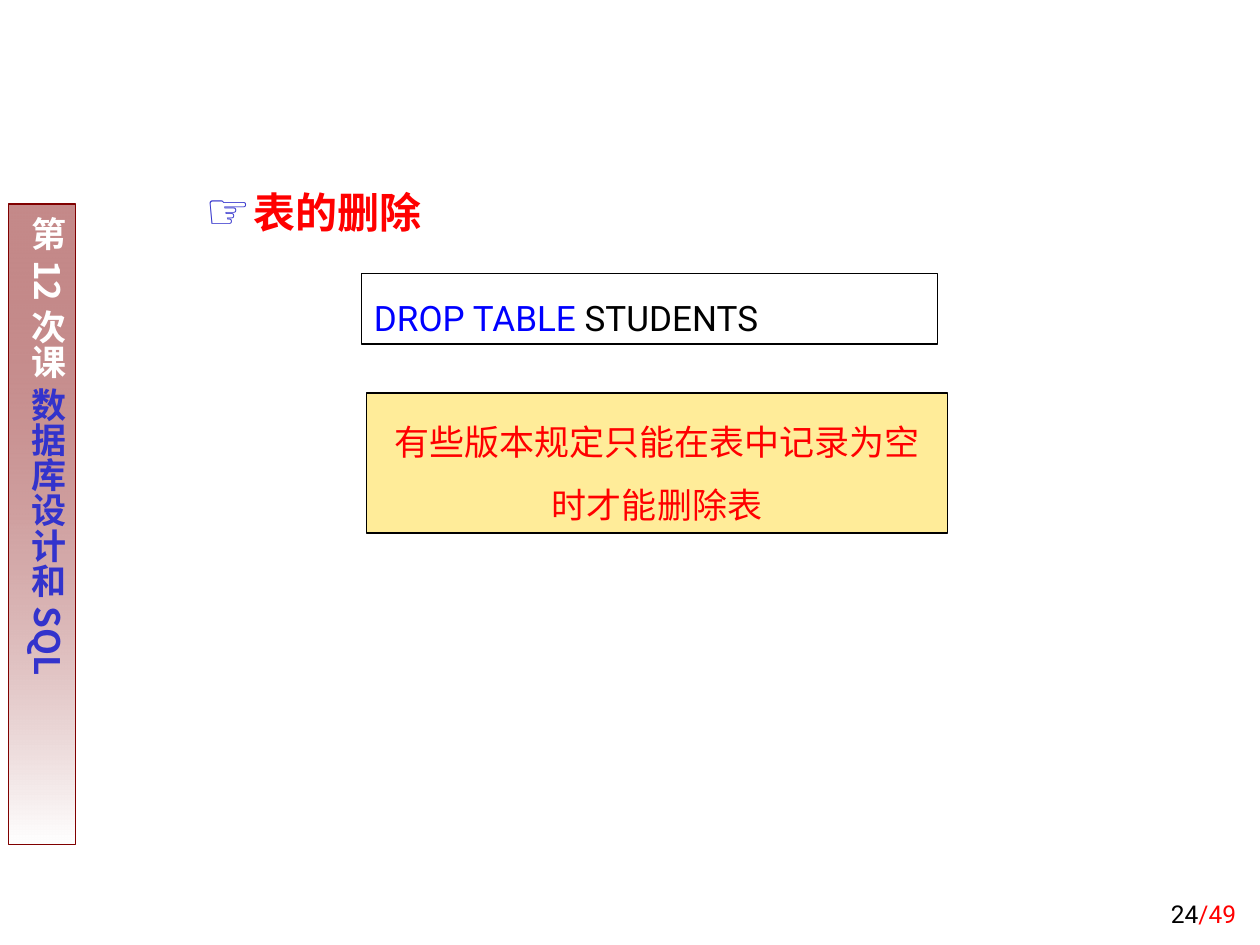
from dataclasses import dataclass

from lxml.etree import SubElement
from pptx import Presentation
from pptx.dml.color import RGBColor
from pptx.enum.shapes import MSO_SHAPE
from pptx.enum.text import MSO_ANCHOR, MSO_AUTO_SIZE, PP_ALIGN
from pptx.oxml.ns import qn
from pptx.util import Inches, Pt


@dataclass(frozen=True)
class Theme:
    latin: str = "Roboto"
    cjk: str = "Noto Sans CJK SC"
    black: str = "000000"
    white: str = "FFFFFF"
    red: str = "FF0000"
    keyword: str = "0000FF"
    accent: str = "3333CC"
    maroon: str = "800000"
    note: str = "FFEC99"
    heading: int = 24
    body: int = 20
    footer: int = 14
    line: float = 0.75


T = Theme()

SIDEBAR = {"at": (0.07, 1.62, 0.53, 5.08),
           "runs": [("第12次课 ", T.white), ("数据库设计和SQL", T.accent)]}
PAGE = {"at": (7.83, 6.92, 2.08, 0.5),
        "runs": [("24", T.black), ("/49", T.red)]}
HEADING = {"at": (1.53, 1.23, 7.93, 0.79), "runs": [("表的删除", T.red)]}
BOXES = [
    {"at": (2.87, 2.17, 4.57, 0.56), "fill": None,
     "align": PP_ALIGN.LEFT, "spacing": 1.4,
     "runs": [("DROP TABLE ", T.keyword), ("STUDENTS", T.black)]},
    {"at": (2.91, 3.12, 4.61, 1.11), "fill": T.note,
     "align": PP_ALIGN.CENTER, "spacing": 1.5,
     "runs": [("有些版本规定只能在表中记录为空时才能删除表", T.red)]},
]


def rgb(value):
    return RGBColor.from_string(value)


def inches(at):
    return [Inches(v) for v in at]


def write(sp, runs, size, font=T.latin, bold=False, align=PP_ALIGN.LEFT,
          spacing=1.0, anchor=MSO_ANCHOR.TOP):
    tf = sp.text_frame
    tf.word_wrap = True
    tf.auto_size = MSO_AUTO_SIZE.NONE
    tf.vertical_anchor = anchor
    p = tf.paragraphs[0]
    p.alignment = align
    p.line_spacing = spacing
    p.space_before = Pt(0)
    for text, color in runs:
        r = p.add_run()
        r.text = text
        r.font.size = Pt(size)
        r.font.bold = bold
        r.font.name = font
        r.font.color.rgb = rgb(color)
        SubElement(r.font._element, qn("a:ea"), typeface=font)
    return p


def add_rect(s, at):
    sp = s.shapes.add_shape(MSO_SHAPE.RECTANGLE, *inches(at))
    sp.shadow.inherit = False
    sp.line.width = Pt(T.line)
    return sp


def add_sidebar(s):
    sp = add_rect(s, SIDEBAR["at"])
    sp.line.color.rgb = rgb(T.maroon)
    sp.fill.gradient()
    sp.fill.gradient_angle = 270
    top, bottom = sp.fill.gradient_stops
    top.position, bottom.position = 0, 1
    top.color.rgb = rgb(T.maroon)
    bottom.color.rgb = rgb(T.white)
    SubElement(top._gs[0], qn("a:alpha"), val="46000")
    tf = sp.text_frame
    tf.margin_left = tf.margin_right = Inches(0.05)
    tf.margin_top = tf.margin_bottom = Inches(0.1)
    tf._txBody.bodyPr.set("vert", "eaVert")
    write(sp, SIDEBAR["runs"], T.body, T.cjk, bold=True, align=PP_ALIGN.CENTER)


def add_heading(s):
    sp = s.placeholders[1]
    sp.left, sp.top, sp.width, sp.height = inches(HEADING["at"])
    p = write(sp, HEADING["runs"], T.heading, bold=True, spacing=1.5)
    pPr = p._p.get_or_add_pPr()
    pPr.set("marL", str(Inches(0.38)))
    pPr.set("indent", str(-Inches(0.38)))
    color = SubElement(pPr, qn("a:buClr"))
    SubElement(color, qn("a:srgbClr"), val=T.accent)
    SubElement(pPr, qn("a:buSzPct"), val="120000")
    SubElement(pPr, qn("a:buChar"), char="☞")


def add_box(s, box):
    sp = add_rect(s, box["at"])
    sp.line.color.rgb = rgb(T.black)
    if box["fill"]:
        sp.fill.solid()
        sp.fill.fore_color.rgb = rgb(box["fill"])
    else:
        sp.fill.background()
    write(sp, box["runs"], T.body, align=box["align"], spacing=box["spacing"])


def main():
    prs = Presentation()
    prs.slide_width, prs.slide_height = Inches(10), Inches(7.5)
    s = prs.slides.add_slide(prs.slide_layouts[1])
    title = s.shapes.title._element
    title.getparent().remove(title)
    add_sidebar(s)
    write(s.shapes.add_textbox(*inches(PAGE["at"])), PAGE["runs"], T.footer,
          align=PP_ALIGN.RIGHT, anchor=MSO_ANCHOR.BOTTOM)
    add_heading(s)
    for box in BOXES:
        add_box(s, box)
    prs.save("out.pptx")


if __name__ == "__main__":
    main()
